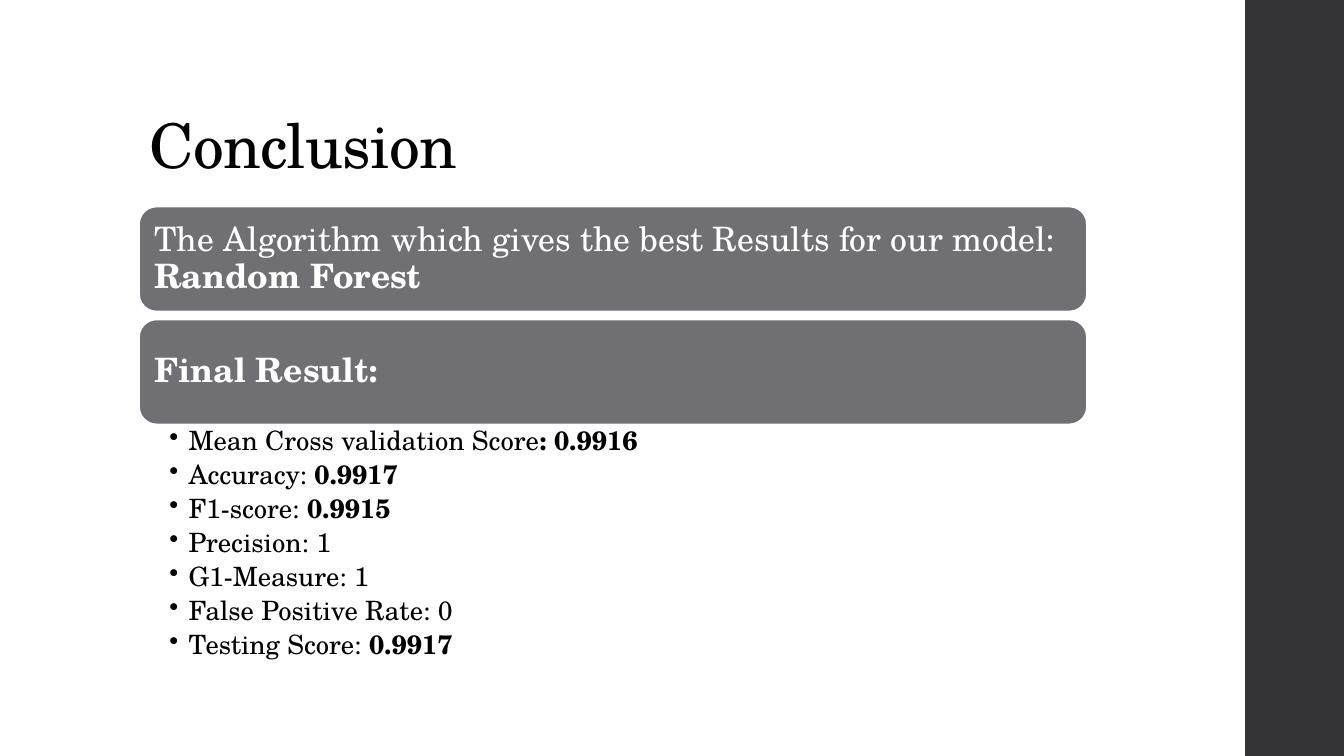
import pptx
import pptx.util
import pptx.dml.color
import pptx.enum.shapes
import pptx.enum.text
import pptx.oxml
import pptx.oxml.ns

Inches = pptx.util.Inches
Pt = pptx.util.Pt
Anchor = pptx.enum.text.MSO_ANCHOR
Preset = pptx.enum.shapes.MSO_SHAPE

COLORS = {"sidebar": "353537", "banner": "6F6F74", "white": "FFFFFF", "ink": "000000"}
FONT = "TeX Gyre Schola"
SLIDE_W, SLIDE_H = 13.33, 7.5
SIDEBAR_LEFT = 12.35
LEFT, WIDTH = 1.38, 9.4
BANNER_TOP, BANNER_H, BANNER_STEP = 2.05, 1.04, 1.12

# Each paragraph is a pair: plain text, then bold text.
BANNERS = [
    ("The Algorithm which gives the best Results for our model: ", "Random Forest"),
    ("", "Final Result:"),
]
SCORES = [
    ("Mean Cross validation Score", ": 0.9916"),
    ("Accuracy: ", "0.9917"),
    ("F1-score: ", "0.9915"),
    ("Precision: 1", ""),
    ("G1-Measure: 1", ""),
    ("False Positive Rate: 0", ""),
    ("Testing Score: ", "0.9917"),
]


def rgb(name):
    return pptx.dml.color.RGBColor.from_string(COLORS[name])


def add_bullet(paragraph, indent):
    properties = paragraph._p.get_or_add_pPr()
    properties.set("marL", str(Inches(indent)))
    properties.set("indent", str(-Inches(indent)))
    bullet = pptx.oxml.parse_xml(
        f'<a:buChar {pptx.oxml.ns.nsdecls("a")} char="•"/>')
    properties.append(bullet)


def write(frame, paragraphs, size, color="ink", anchor=Anchor.TOP,
          insets=(0.1, 0.1, 0.1, 0.1), bullet_indent=None, space_after=0,
          tracking=None):
    """Fill a frame with (plain, bold) pairs; insets are left, top, right, bottom."""
    frame.word_wrap = True
    frame.auto_size = pptx.enum.text.MSO_AUTO_SIZE.NONE
    frame.vertical_anchor = anchor
    (frame.margin_left, frame.margin_top,
     frame.margin_right, frame.margin_bottom) = map(Inches, insets)
    for index, parts in enumerate(paragraphs):
        paragraph = frame.paragraphs[0] if index == 0 else frame.add_paragraph()
        paragraph.alignment = pptx.enum.text.PP_ALIGN.LEFT
        paragraph.line_spacing = 0.9
        paragraph.space_before = Pt(0)
        paragraph.space_after = Pt(space_after)
        if bullet_indent:
            paragraph.level = 1
            add_bullet(paragraph, bullet_indent)
        for text, bold in zip(parts, (False, True)):
            if not text:
                continue
            run = paragraph.add_run()
            run.text = text
            run.font.name = FONT
            run.font.size = Pt(size)
            run.font.bold = bold
            run.font.color.rgb = rgb(color)
            if tracking:
                run.font._element.set("spc", str(round(tracking * 100)))


def add_block(slide, preset, left, top, width, height, fill, line=None):
    block = slide.shapes.add_shape(
        preset, Inches(left), Inches(top), Inches(width), Inches(height))
    block.shadow.inherit = False
    block.fill.solid()
    block.fill.fore_color.rgb = rgb(fill)
    if line:
        block.line.color.rgb = rgb(line)
        block.line.width = Pt(1.1)
    else:
        block.line.fill.background()
    return block


def add_title(slide, text):
    title = slide.shapes.title
    title.left, title.top = Inches(LEFT), Inches(0.4)
    title.width, title.height = Inches(10.6), Inches(1.45)
    write(title.text_frame, [(text, "")], 44, anchor=Anchor.BOTTOM,
          insets=(0.1, 0.05, 0.1, 0.05), tracking=-0.5)


def add_banner(slide, row, parts):
    banner = add_block(slide, Preset.ROUNDED_RECTANGLE, LEFT,
                       BANNER_TOP + row * BANNER_STEP, WIDTH, BANNER_H,
                       "banner", "white")
    write(banner.text_frame, [parts], 24, color="white", anchor=Anchor.MIDDLE)


def add_scores(slide):
    top = BANNER_TOP + BANNER_STEP + BANNER_H
    scores = slide.shapes.add_textbox(
        Inches(LEFT), Inches(top), Inches(WIDTH), Inches(2.5))
    write(scores.text_frame, SCORES, 19, insets=(0.3, 0.03, 0.19, 0.03),
          bullet_indent=0.19, space_after=3.8)


def main():
    deck = pptx.Presentation()
    deck.slide_width, deck.slide_height = Inches(SLIDE_W), Inches(SLIDE_H)
    slide = deck.slides.add_slide(deck.slide_layouts.get_by_name("Title Only"))
    add_block(slide, Preset.RECTANGLE, SIDEBAR_LEFT, 0,
              SLIDE_W - SIDEBAR_LEFT, SLIDE_H, "sidebar")
    add_title(slide, "Conclusion")
    for row, parts in enumerate(BANNERS):
        add_banner(slide, row, parts)
    add_scores(slide)
    deck.save("out.pptx")


if __name__ == "__main__":
    main()
